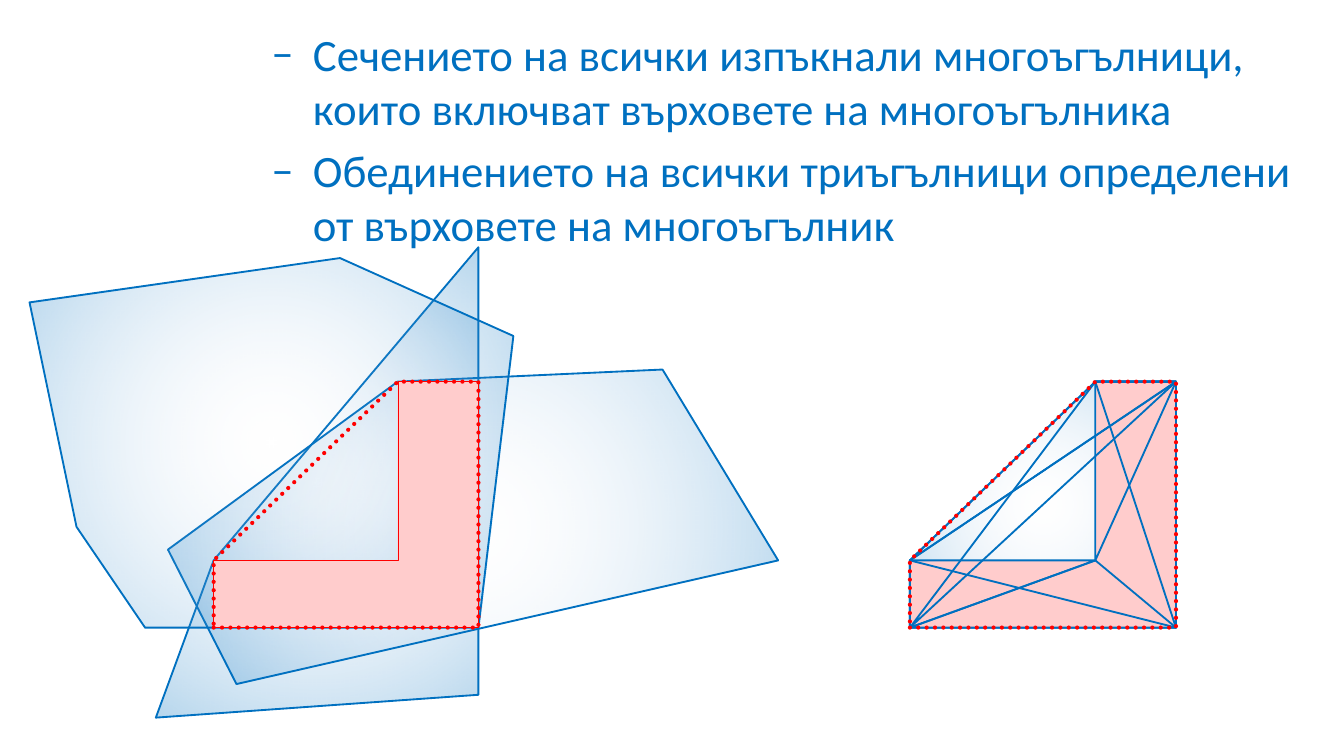
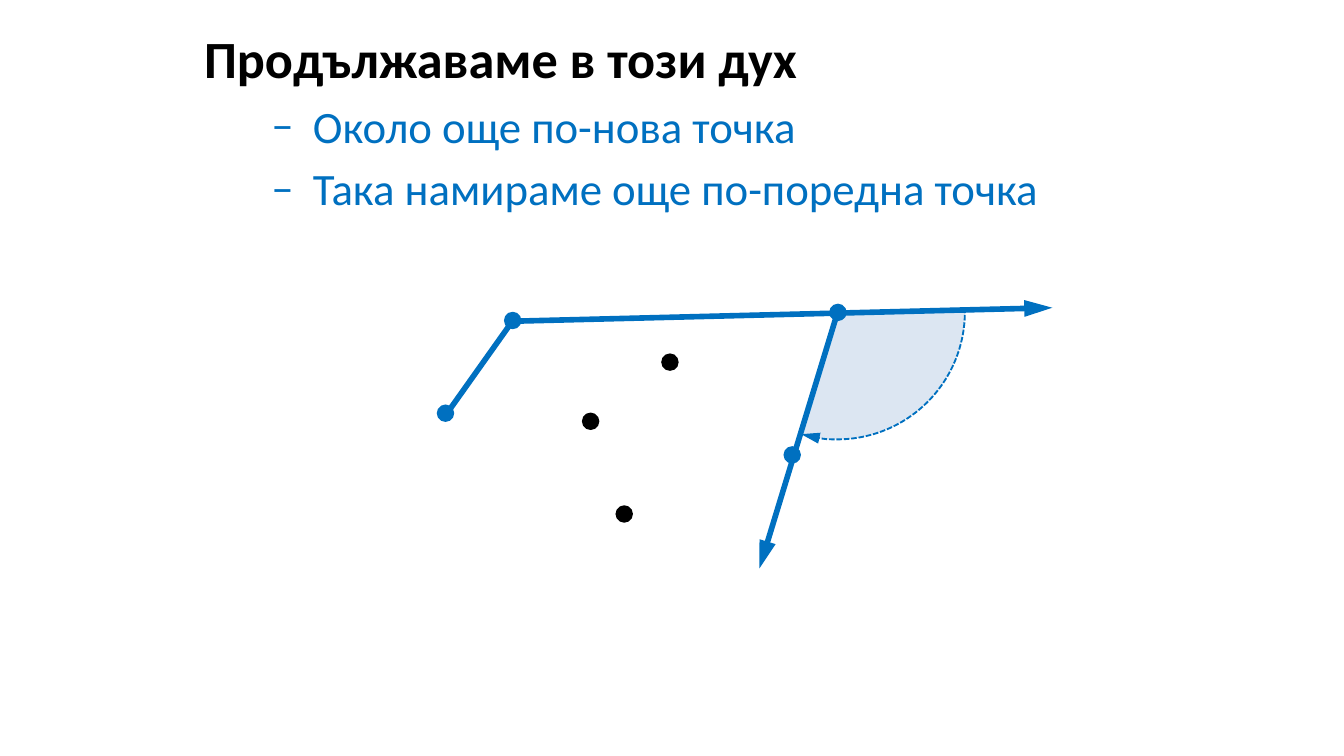
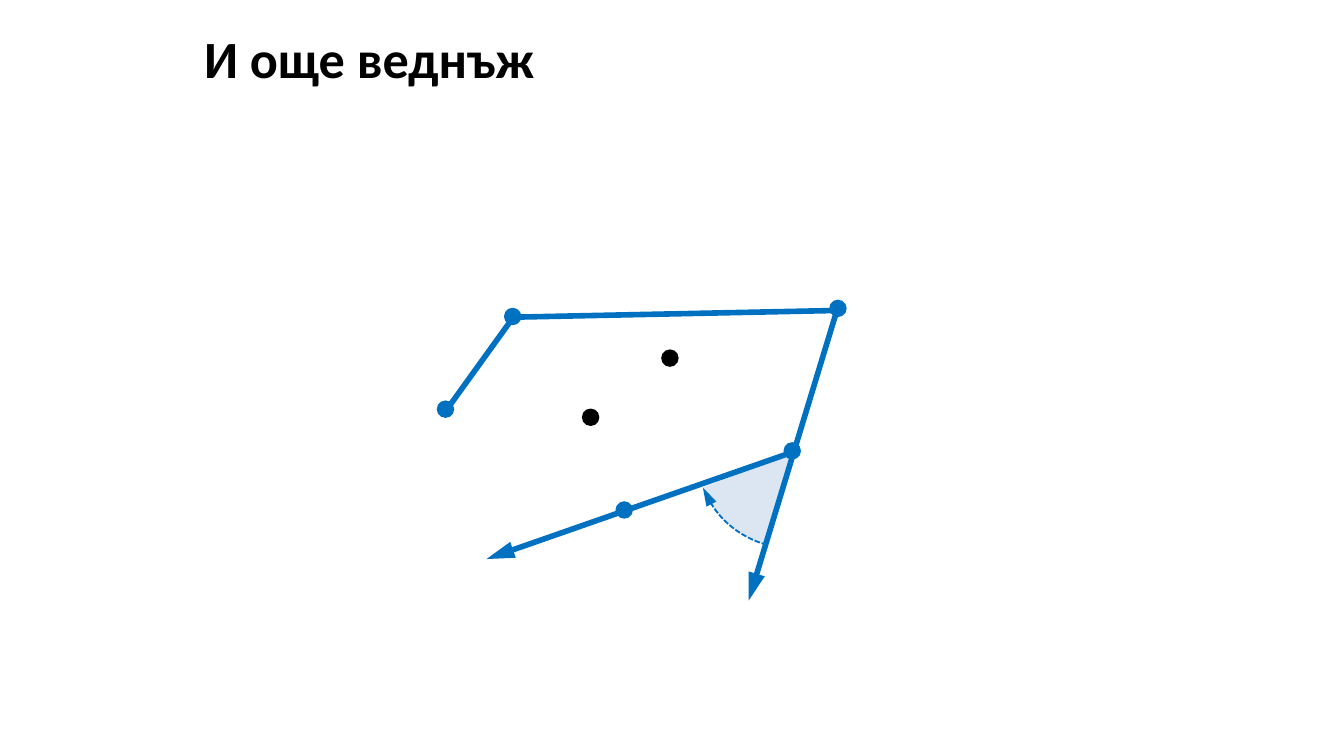
from lxml.etree import SubElement
from pptx import Presentation
from pptx.dml.color import RGBColor
from pptx.enum.dml import MSO_LINE as Dash
from pptx.enum.shapes import MSO_CONNECTOR as Link, MSO_SHAPE as Form
from pptx.oxml import parse_xml
from pptx.oxml.ns import nsdecls, qn
from pptx.util import Inches, Pt

rgb = RGBColor.from_string
BLUE, RED, PINK, PALE, BLACK = "0070C0", "FF0000", "FFCCCC", "DCE6F2", "000000"
FONT = "Calibri"
GLOW = f"""<a:gradFill {nsdecls("a")} rotWithShape="1"><a:gsLst>
<a:gs pos="0"><a:srgbClr val="E1E8F5"><a:alpha val="0"/></a:srgbClr></a:gs>
<a:gs pos="100000"><a:srgbClr val="{BLUE}"><a:alpha val="29000"/></a:srgbClr></a:gs>
</a:gsLst><a:path path="circle">
<a:fillToRect l="50000" t="50000" r="50000" b="50000"/></a:path></a:gradFill>"""

deck = Presentation()
deck.slide_width, deck.slide_height = Inches(10), Inches(10 * 9 / 16)


def page(title, items):
    shapes = deck.slides.add_slide(deck.slide_layouts[6]).shapes
    box = shapes.add_textbox(Inches(1.42), Inches(0.15), Inches(8.58), Inches(5.17))
    frame = box.text_frame
    frame.word_wrap = True
    rows = [(title, 0)] if title else []
    rows += [(item, 1) for item in items]
    for i, (text, level) in enumerate(rows):
        para = frame.add_paragraph() if i else frame.paragraphs[0]
        para.text = text
        para.level = level
        size = 24 if level else 28
        if level:
            props = para._p.get_or_add_pPr()
            props.set("marL", str(Inches(0.81)))
            props.set("indent", str(Inches(-0.31)))
            SubElement(props, qn("a:buFont"), typeface=FONT)
            SubElement(props, qn("a:buChar"), char="–")
        if i:
            para.space_before = Pt(size * 0.2)
        para.font.name = FONT
        para.font.size = Pt(size)
        para.font.bold = not level
        para.font.color.rgb = rgb(BLUE if level else BLACK)
    return shapes


def trace(shapes, points, fill=None, color=BLUE, width=1, dash=None):
    spots = [(Inches(x), Inches(y)) for x, y in points]
    pen = shapes.build_freeform(*spots[0])
    pen.add_line_segments(spots[1:], close=True)
    shape = pen.convert_to_shape()
    shape.shadow.inherit = False
    if fill == GLOW:
        shape.element.spPr.insert(2, parse_xml(GLOW))
    elif fill:
        shape.fill.solid()
        shape.fill.fore_color.rgb = rgb(fill)
    else:
        shape.fill.background()
    shape.line.color.rgb = rgb(color)
    shape.line.width = Pt(width)
    if dash:
        shape.line.dash_style = dash
        shape.element.spPr.get_or_add_ln().set("cap", "rnd")


shapes = page("", [
    "Сечението на всички изпъкнали многоъгълници, които включват върховете на многоъгълника",
    "Обединението на всички триъгълници определени от върховете на многоъгълник",
])
covers = [
    [(3.56, 5.17), (3.56, 1.84), (1.59, 4.17), (1.16, 5.34)],
    [(1.76, 5.09), (5.79, 4.17), (4.93, 2.75), (2.96, 2.84), (1.25, 4.09)],
    [(1.08, 4.67), (3.56, 4.67), (3.82, 2.5), (2.53, 1.92), (0.22, 2.25), (0.57, 3.92)],
]
for cover in covers:
    trace(shapes, cover, GLOW)

group = shapes.add_group_shape().shapes
top, step, base = 2.84, 4.17, 4.67
for area, left, mid, right in [(shapes, 1.59, 2.96, 3.56), (group, 6.77, 8.15, 8.75)]:
    a, b, c = (left, base), (right, base), (right, top)
    d, e, f = (mid, top), (mid, step), (left, step)
    hull = [a, b, c, d, f]
    if area is group:
        trace(area, hull, GLOW)
    trace(area, [a, b, c, d, e, f], PINK, RED, 0.25)
    if area is group:
        for trio in [(a, e, b), (e, f, a), (b, c, f), (f, c, d), (e, c, d), (b, c, d), (a, c, d)]:
            trace(area, trio)
    trace(area, hull, None, RED, 2.25, Dash.ROUND_DOT)

dots = [(4.92, 2.63), (3.75, 2.32), (3.25, 3.01), (4.58, 3.76), (5.83, 3.32), (6.17, 2.26), (4.33, 3.07)]
scenes = [
    ("Продължаваме в този дух", ["Около още по-нова точка", "Така намираме още по-поредна точка"],
     (5.28, 1.37, 1.9), (214.871, 63.822),
     [(6.23, 2.33, 5.65, 4.23, True), (3.83, 2.39, 7.83, 2.29, True), (3.33, 3.07, 3.82, 2.38, False)],
     0, (0, 3, 6)),
    ("И още веднъж", [],
     (5.18, 2.65, 1.43), (63.174, 94.996),
     [(5.91, 3.36, 3.62, 4.16, True), (6.23, 2.3, 5.57, 4.47, True),
      (3.83, 2.36, 6.24, 2.31, False), (3.33, 3.04, 3.82, 2.36, False)],
     0.03, (0, 6)),
]
for title, items, (x, y, size), turn, edges, lift, inner in scenes:
    shapes = page(title, items)
    arc = shapes.add_shape(Form.ARC, Inches(x), Inches(y), Inches(size), Inches(size))
    arc.adjustments[0], arc.adjustments[1] = turn
    arc.shadow.inherit = False
    arc.fill.solid()
    arc.fill.fore_color.rgb = rgb(PALE)
    arc.line.color.rgb = rgb(BLUE)
    arc.line.width = Pt(1)
    arc.line.dash_style = Dash.SQUARE_DOT
    heads = [arc]
    for *ends, head in edges:
        edge = shapes.add_connector(Link.STRAIGHT, *map(Inches, ends))
        edge.line.color.rgb = rgb(BLUE)
        edge.line.width = Pt(3)
        SubElement(edge.element.spPr, qn("a:effectLst"))
        if head:
            heads.append(edge)
    for item in heads:
        SubElement(item.element.spPr.get_or_add_ln(), qn("a:tailEnd"), type="triangle", len="lg")
    for i, (x, y) in enumerate(dots):
        dot = shapes.add_shape(Form.OVAL, Inches(x), Inches(y - lift), Inches(0.13), Inches(0.13))
        dot.shadow.inherit = False
        dot.fill.solid()
        dot.fill.fore_color.rgb = rgb(BLACK if i in inner else BLUE)
        dot.line.fill.background()

deck.save("out.pptx")
